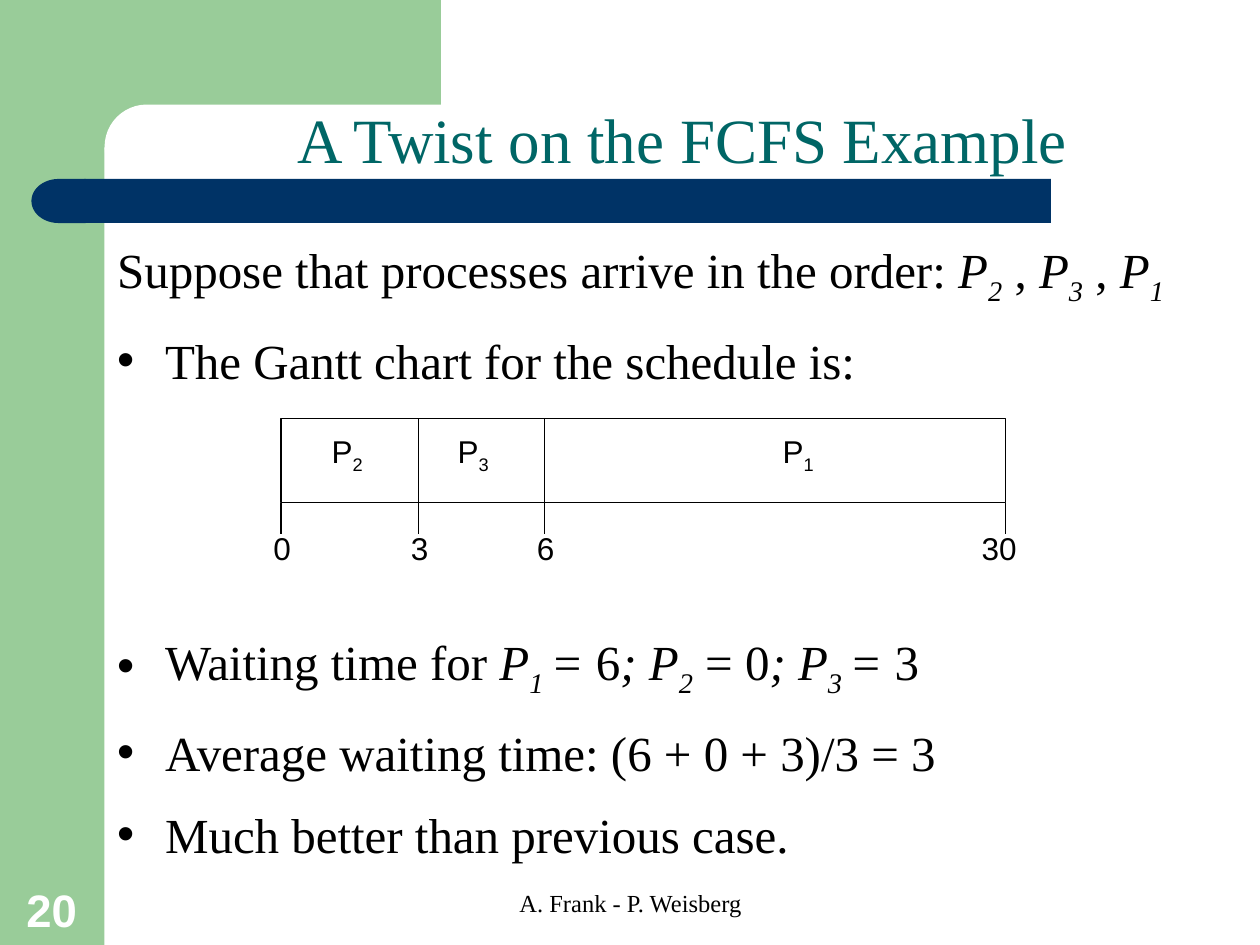
import pptx
import pptx.util
import pptx.dml.color
import pptx.enum.shapes
import pptx.enum.text
import pptx.oxml.ns
from lxml import etree

Inches, Pt = pptx.util.Inches, pptx.util.Pt
RGB = pptx.dml.color.RGBColor
Shape = pptx.enum.shapes.MSO_SHAPE
Align = pptx.enum.text.PP_ALIGN
Anchor = pptx.enum.text.MSO_ANCHOR
qn = pptx.oxml.ns.qn

GREEN = RGB(0x99, 0xCC, 0x99)
NAVY = RGB(0x00, 0x33, 0x66)
TEAL = RGB(0x00, 0x66, 0x66)
WHITE = RGB(0xFF, 0xFF, 0xFF)
BLACK = RGB(0x00, 0x00, 0x00)
SERIF, SANS = "Times New Roman", "Arial"


def style(para, parts, size, face, color):
    """Fill a paragraph with (text, marks); i is italic, s is subscript."""
    para.font.size, para.font.name = Pt(size), face
    for text, marks in parts:
        run = para.add_run()
        run.text = text
        run.font.size, run.font.name = Pt(size), face
        run.font.color.rgb = color
        run.font.italic = "i" in marks
        if "s" in marks:
            run._r.get_or_add_rPr().set("baseline", "-25000")


def label(box, parts, size, face, color, anchor, wrap=False):
    """Add a centred text box at (left, top, width, height)."""
    frame = slide.shapes.add_textbox(*map(Inches, box)).text_frame
    frame.word_wrap = wrap
    frame.vertical_anchor = anchor
    frame.paragraphs[0].alignment = Align.CENTER
    style(frame.paragraphs[0], parts, size, face, color)
    return frame


deck = pptx.Presentation()
deck.slide_width, deck.slide_height = Inches(10), Inches(7.5)
slide = deck.slides.add_slide(deck.slide_layouts[1])
title, body = slide.shapes.title, slide.placeholders[1]

# Side band, top block, rounded corner and title bar
decor = [
    (Shape.RECTANGLE, (0, 0, 0.83, 7.5), GREEN),
    (Shape.RECTANGLE, (0.75, 0, 2.75, 1.17), GREEN),
    (Shape.ROUNDED_RECTANGLE, (0.83, 0.83, 3.42, 0.67), WHITE),
    (Shape.RECTANGLE, (0.67, 1.42, 7.67, 0.35), NAVY),
    (Shape.FLOWCHART_DELAY, (0.25, 1.42, 0.43, 0.35), NAVY),
]
for kind, box, color in decor:
    part = slide.shapes.add_shape(kind, *map(Inches, box))
    part.shadow.inherit = False
    part.fill.solid()
    part.fill.fore_color.rgb = color
    part.line.fill.background()
    if kind == Shape.ROUNDED_RECTANGLE:
        part.adjustments[0] = 0.5
    if kind == Shape.FLOWCHART_DELAY:
        part.element.spPr.find(qn("a:xfrm")).set("flipH", "1")

# Page number and footer
number = label((0.09, 6.94, 0.64, 0.54), [("20", "")], 26, SANS, WHITE, Anchor.BOTTOM)
number.paragraphs[0].runs[0].font.bold = True
label((3.42, 7, 3.17, 0.5), [("A. Frank - P. Weisberg", "")], 14, SERIF, BLACK,
      Anchor.TOP, True)

# Title and body go in front of the decoration
for holder, box in [(title, (0.83, 0.78, 9.17, 0.67)), (body, (0.83, 1.8, 9.17, 5.62))]:
    holder.left, holder.top, holder.width, holder.height = map(Inches, box)
    holder.text_frame.auto_size = pptx.enum.text.MSO_AUTO_SIZE.NONE
    tree = holder.element.getparent()
    tree.append(holder.element)
title.text_frame.vertical_anchor = Anchor.BOTTOM
head = title.text_frame.paragraphs[0]
head.alignment = Align.CENTER
style(head, [("A Twist on the FCFS Example", "")], 36, SERIF, TEAL)

# Body lines: bullet, space before, parts
lines = [
    (False, 0, [("Suppose that processes arrive in the order: ", ""),
                ("P", "i"), ("2", "is"), (" , ", ""), ("P", "i"), ("3", "is"),
                (" , ", ""), ("P", "i"), ("1", "is")]),
    (True, 10, [("The Gantt chart for the schedule is:", "")]),
    (True, 135, [("Waiting time for ", ""), ("P", "i"), ("1 ", "is"), ("=", "i"),
                 (" 6", ""), ("; P", "i"), ("2", "is"), (" = 0", ""),
                 ("; P", "i"), ("3 ", "is"), ("= ", "i"), ("3", "")]),
    (True, 10, [("Average waiting time: (6 + 0 + 3)/3 = 3", "")]),
    (True, 10, [("Much better than previous case.", "")]),
]
frame = body.text_frame
for i, (dot, gap, parts) in enumerate(lines):
    para = frame.add_paragraph() if i else frame.paragraphs[0]
    para.line_spacing, para.space_before = 1.1, Pt(gap)
    props = para._p.get_or_add_pPr()
    props.set("marL", str(Inches(0.38)))
    props.set("indent", str(-Inches(0.38)))
    if dot:
        etree.SubElement(props, qn("a:buChar")).set("char", "•")
    else:
        etree.SubElement(props, qn("a:buNone"))
    style(para, parts, 28, SERIF, BLACK)

# Gantt bar
LEFT, TOP, BASE, FOOT = 2.23, 3.32, 3.99, 4.24
marks = [("0", LEFT), ("3", 3.32), ("6", 4.32), ("30", 7.98)]
bar = slide.shapes.add_shape(Shape.RECTANGLE, Inches(LEFT), Inches(TOP),
                             Inches(5.75), Inches(BASE - TOP))
bar.shadow.inherit = False
bar.fill.solid()
bar.fill.fore_color.rgb = WHITE
bar.line.color.rgb = BLACK
bar.line.width = Pt(0.75)
for name, mid in [("2", 2.76), ("3", 3.76), ("1", 6.34)]:
    label((mid - 0.23, 3.38, 0.45, 0.44), [("P", ""), (name, "s")], 18, SANS, BLACK,
          Anchor.MIDDLE)

# Dividers, ticks and times
rules = [(x, TOP, BASE) for _, x in marks[1:3]] + [(x, BASE, FOOT) for _, x in marks]
for x, start, end in rules:
    rule = slide.shapes.add_connector(pptx.enum.shapes.MSO_CONNECTOR.STRAIGHT,
                                      Inches(x), Inches(start), Inches(x), Inches(end))
    rule.line.color.rgb = BLACK
    rule.line.width = Pt(0.75)
    etree.SubElement(rule.element.spPr, qn("a:effectLst"))
for time, x in marks:
    wide = 0.48 if len(time) > 1 else 0.34
    mid = x - 0.05 if len(time) > 1 else x + 0.01
    label((mid - wide / 2, 4.15, wide, 0.4), [(time, "")], 18, SANS, BLACK, Anchor.MIDDLE)

deck.save("out.pptx")
